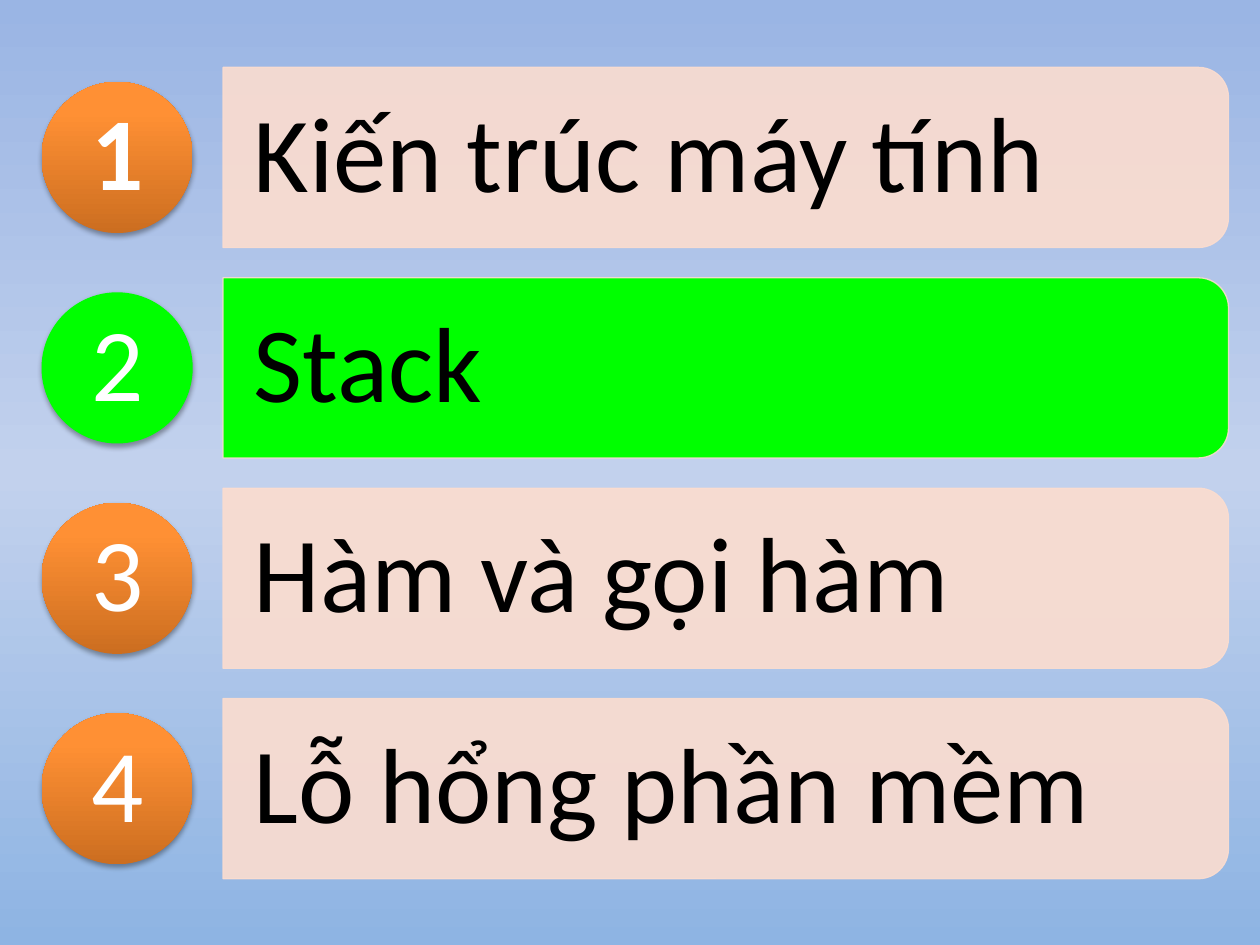
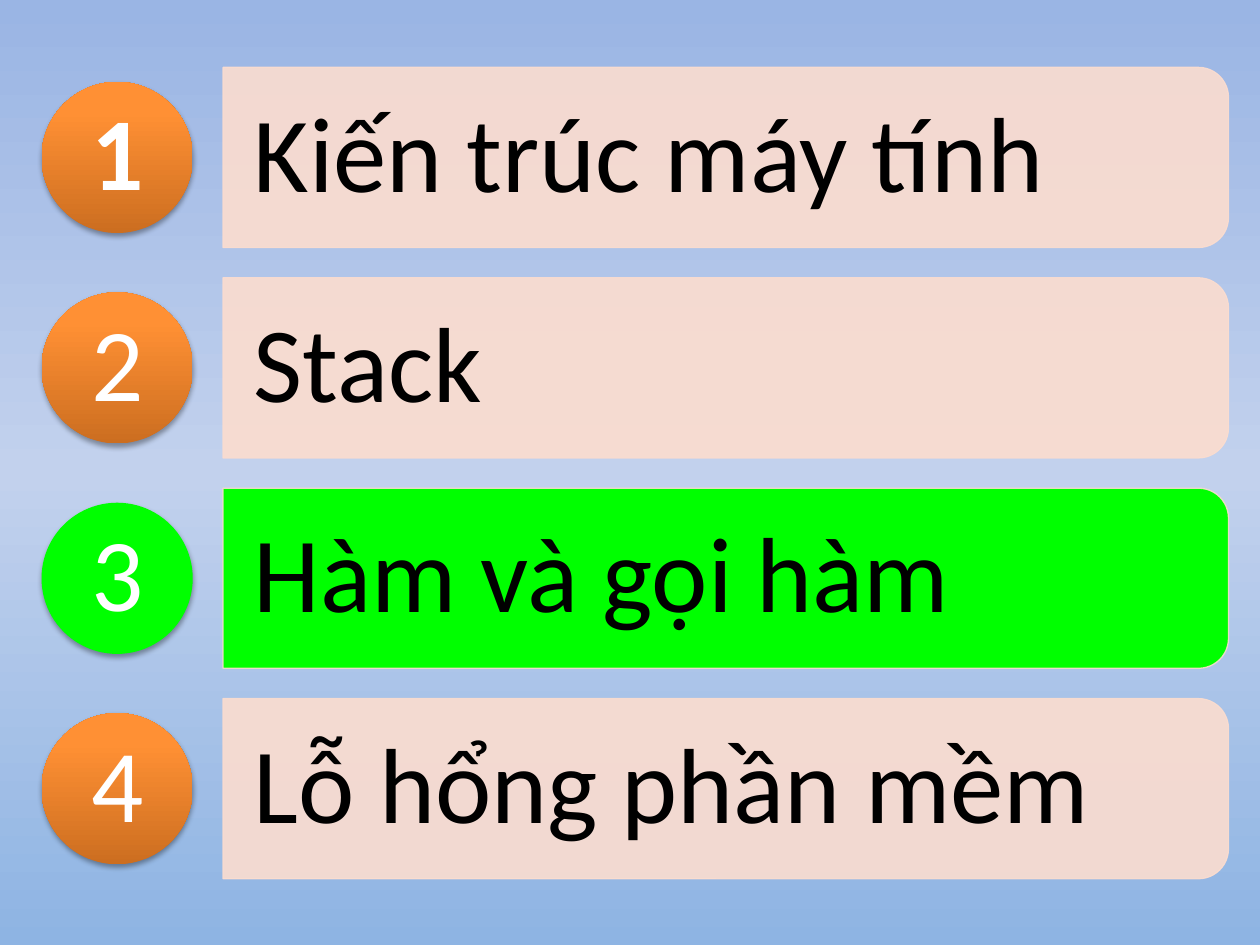
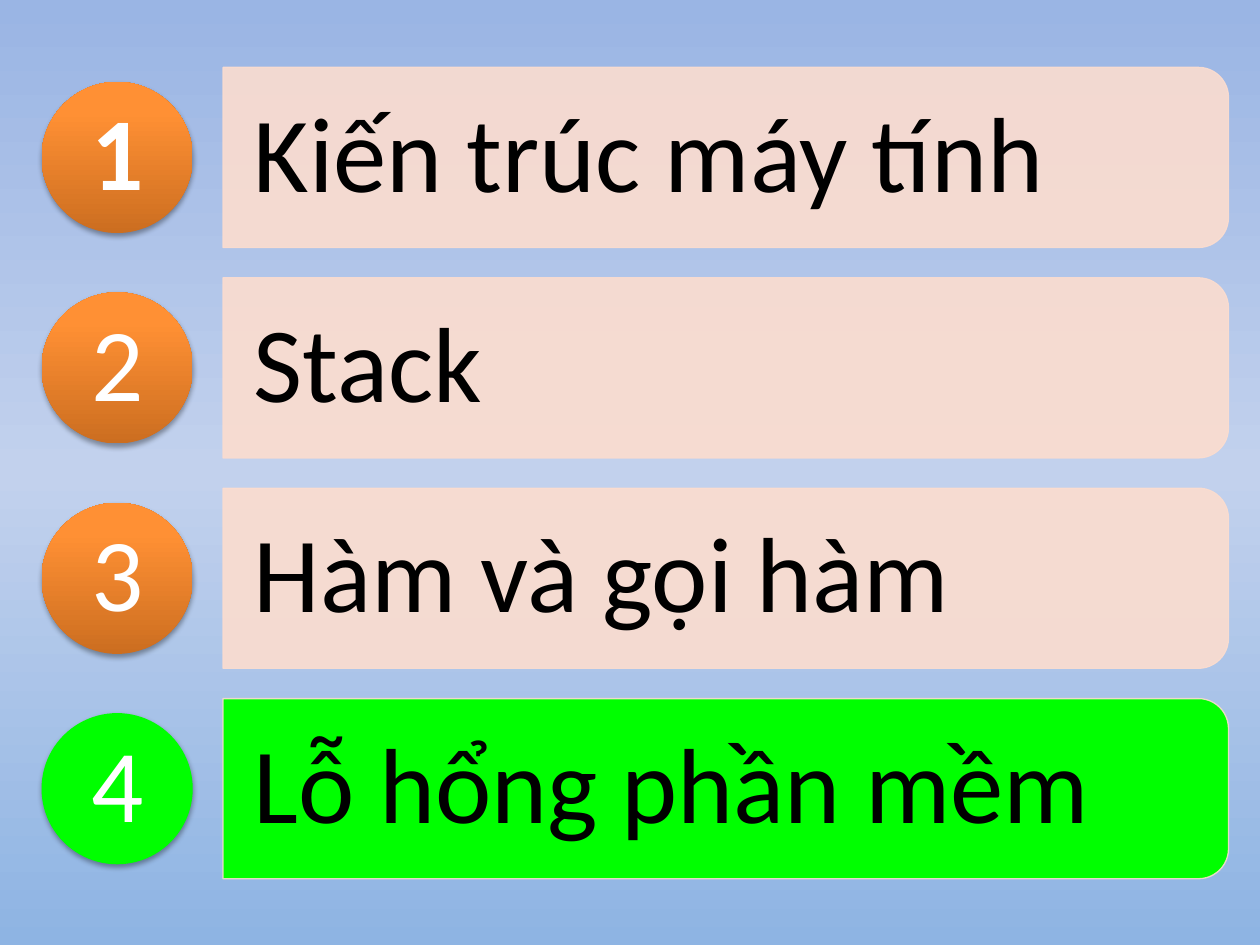
from pptx import Presentation
from pptx.dml.color import RGBColor
from pptx.enum.shapes import MSO_SHAPE
from pptx.enum.text import MSO_ANCHOR, PP_ALIGN
from pptx.oxml.ns import qn
from pptx.util import Inches, Pt
from lxml.etree import SubElement

TOPICS = ["Kiến trúc máy tính", "Stack", "Hàm và gọi hàm", "Lỗ hổng phần mềm"]
ACTIVE = [2, 3, 4]
SKY = [(0, "9AB5E4"), (50, "C2D1ED"), (100, "8EB4E3")]
ORANGE = [(0, "CC6E20"), (80, "FF9034"), (100, "FF9136")]
PEACH, GREEN, BLACK, WHITE = "FCDDCF", "00FF00", "000000", "FFFFFF"
FONT = "Calibri"
FIRST, PITCH = 1.25, 1.67
BAR_MID, TEXT_MID, DISC_MID = 5.76, 5.72, 0.93


def rgb(code):
    return RGBColor.from_string(code)


def add(parent, tag, **attrs):
    return SubElement(parent, qn(tag), {key: str(val) for key, val in attrs.items()})


def box(x, y, wide, high):
    return [Inches(n) for n in (x - wide / 2, y - high / 2, wide, high)]


def paint(fill, code, root=None, alpha=None):
    fill.solid()
    fill.fore_color.rgb = rgb(code)
    if alpha:
        add(root.find(".//" + qn("a:srgbClr")), "a:alpha", val=alpha * 1000)


def blend(fill, root, stops, angle):
    fill.solid()
    solid = root.find(".//" + qn("a:solidFill"))
    grad = add(solid.getparent(), "a:gradFill", rotWithShape=1)
    solid.getparent().replace(solid, grad)
    rows = add(grad, "a:gsLst")
    for spot, code in stops:
        add(add(rows, "a:gs", pos=spot * 1000), "a:srgbClr", val=code)
    add(grad, "a:lin", ang=angle * 60000, scaled=0)


def shade(shape):
    shape.shadow.inherit = False
    effect = shape.element.spPr.find(qn("a:effectLst"))
    outer = add(effect, "a:outerShdw", blurRad=Pt(3.1), dist=Pt(1.8), dir=5400000, rotWithShape=0)
    add(add(outer, "a:srgbClr", val=BLACK), "a:alpha", val=35000)


def label(group, text, area, size, code, inset=(0, 0), align=PP_ALIGN.LEFT, bold=False):
    frame = group.shapes.add_textbox(*area).text_frame
    frame.word_wrap = True
    frame.vertical_anchor = MSO_ANCHOR.MIDDLE
    frame.margin_left = frame.margin_right = Inches(inset[0])
    frame.margin_top = frame.margin_bottom = Inches(inset[1])
    frame.text = text
    para = frame.paragraphs[0]
    para.alignment, para.line_spacing = align, 0.9
    font = para.runs[0].font
    font.name, font.size, font.bold = FONT, Pt(size), bold
    font.color.rgb = rgb(code)


def add_bar(group, y, lit):
    bar = group.shapes.add_shape(MSO_SHAPE.ROUND_2_SAME_RECTANGLE, *box(BAR_MID, y, 1.43, 7.98))
    bar.rotation = 90
    bar.shadow.inherit = False
    if lit:
        paint(bar.fill, GREEN)
    else:
        paint(bar.fill, PEACH, bar.element.spPr, 90)
    bar.line.width = Pt(0.75)
    paint(bar.line.fill, PEACH, bar.element.spPr.find(qn("a:ln")), 90)


def add_disc(group, y, lit):
    disc = group.shapes.add_shape(MSO_SHAPE.OVAL, *box(DISC_MID, y, 1.2, 1.2))
    if lit:
        paint(disc.fill, GREEN)
    else:
        blend(disc.fill, disc.element.spPr, ORANGE, 270)
    disc.line.fill.background()
    shade(disc)


def agenda(deck, active):
    slide = deck.slides.add_slide(deck.slide_layouts[6])
    group = slide.shapes.add_group_shape()
    for num, topic in enumerate(TOPICS, 1):
        y = FIRST + (num - 1) * PITCH
        add_bar(group, y, num == active)
        label(group, topic, box(TEXT_MID, y, 7.91, 1.29), 61, BLACK, (0.25, 0.17))
        add_disc(group, y, num == active)
        label(group, str(num), box(DISC_MID, y, 0.85, 0.85), 59, WHITE,
              align=PP_ALIGN.CENTER, bold=num == 1)


def main():
    deck = Presentation()
    deck.slide_width, deck.slide_height = Inches(10), Inches(7.5)
    master = deck.slide_master
    blend(master.background.fill, master.element, SKY, 90)
    for active in ACTIVE:
        agenda(deck, active)
    deck.save("out.pptx")


if __name__ == "__main__":
    main()
